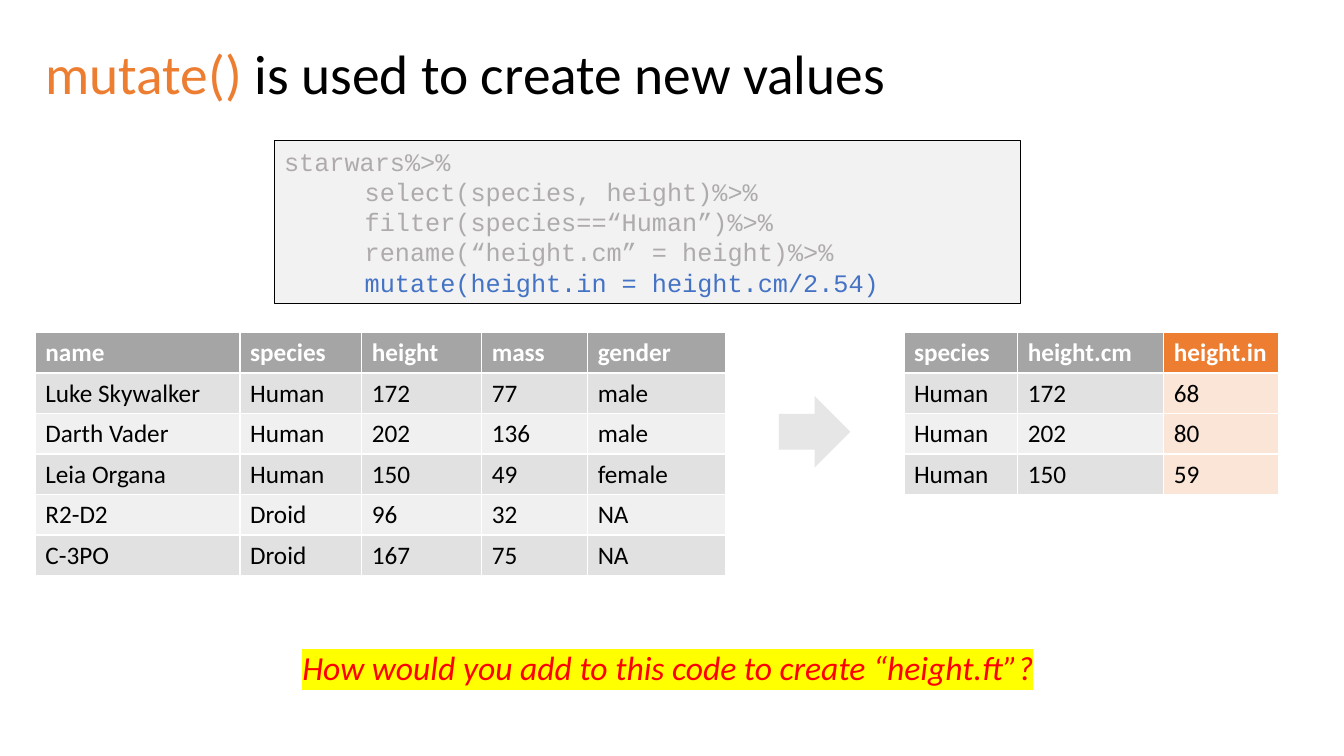
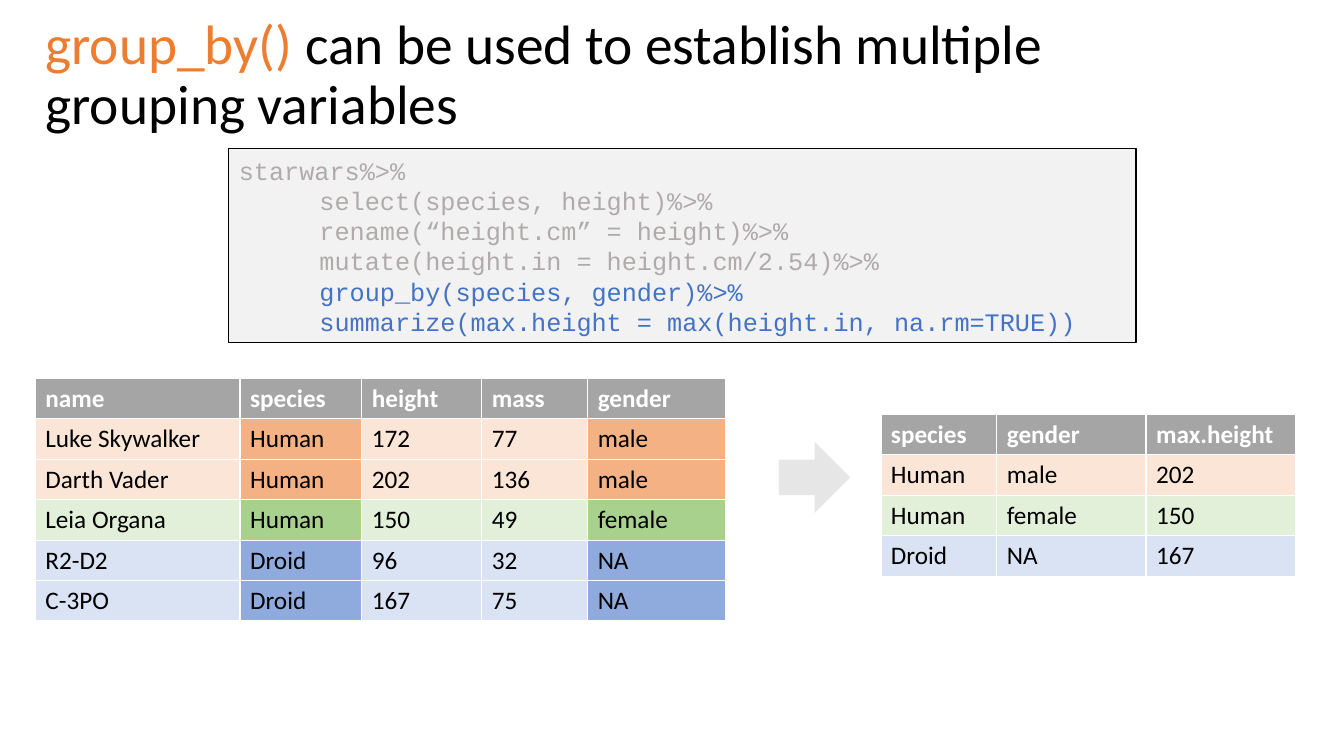
from dataclasses import dataclass

from lxml import etree
from pptx import Presentation
from pptx.dml.color import RGBColor
from pptx.enum.shapes import MSO_SHAPE
from pptx.enum.text import MSO_ANCHOR, MSO_AUTO_SIZE, PP_ALIGN
from pptx.oxml.ns import qn
from pptx.util import Cm, Pt

RECT, RIGHT_ARROW = MSO_SHAPE.RECTANGLE, MSO_SHAPE.RIGHT_ARROW
LEFT, MIDDLE = PP_ALIGN.LEFT, MSO_ANCHOR.MIDDLE
FIXED, GROW = MSO_AUTO_SIZE.NONE, MSO_AUTO_SIZE.SHAPE_TO_FIT_TEXT
TITLE_ONLY = 5


@dataclass(frozen=True)
class Theme:
    text_font: str = "Calibri"
    code_font: str = "Courier New"
    title_size: float = 39.6
    question_size: float = 24
    body_size: float = 18
    black: str = "000000"
    white: str = "FFFFFF"
    accent: str = "ED7D31"
    code_fill: str = "F2F2F2"
    code_faded: str = "AFABAB"
    code_active: str = "4472C4"
    arrow: str = "E7E6E6"
    header: str = "A5A5A5"
    bands: tuple = ("E1E1E1", "F0F0F0")
    question: str = "FF0000"
    marker: str = "FFFF00"
    # light and strong tint of each group
    orange: tuple = ("FBE5D6", "F4B183")
    green: tuple = ("E2F0D9", "A9D18E")
    blue: tuple = ("DAE3F3", "8FAADC")


THEME = Theme()
MARGIN = 0.89
ROW_HEIGHT = 1.02
HEADER = ["name", "species", "height", "mass", "gender"]
CHARACTERS = [
    ["Luke Skywalker", "Human", "172", "77", "male"],
    ["Darth Vader", "Human", "202", "136", "male"],
    ["Leia Organa", "Human", "150", "49", "female"],
    ["R2-D2", "Droid", "96", "32", "NA"],
    ["C-3PO", "Droid", "167", "75", "NA"],
]
GROUPS = {"male": THEME.orange, "female": THEME.green, "NA": THEME.blue}
GROUP_COLUMNS = (1, 4)


def rgb(value):
    return RGBColor.from_string(value)


def banded(row_count, col_count):
    """Alternating row fills, one list of colours a row."""
    return [[THEME.bands[i % 2]] * col_count for i in range(row_count)]


class Deck:
    def __init__(self, theme):
        self.theme = theme
        self.prs = Presentation()
        self.prs.slide_width, self.prs.slide_height = Cm(33.87), Cm(19.05)
        self.slide = None

    def style(self, r, size, color, font=None, bold=False, italic=False):
        r.font.name = font or self.theme.text_font
        r.font.size = Pt(size)
        r.font.color.rgb = rgb(color)
        r.font.bold, r.font.italic = bold, italic

    def new_slide(self, function, rest):
        """Start a slide whose title opens with a coloured function name."""
        t = self.theme
        self.slide = self.prs.slides.add_slide(self.prs.slide_layouts[TITLE_ONLY])
        sp = self.slide.shapes.title
        sp.left, sp.top, sp.width, sp.height = Cm(MARGIN), Cm(1.02), Cm(29), Cm(1.8)
        tf = sp.text_frame
        tf.auto_size, tf.vertical_anchor, tf.word_wrap = FIXED, MIDDLE, True
        p = tf.paragraphs[0]
        p.alignment, p.line_spacing = LEFT, 0.9
        for text, color in ((function + " ", t.accent), (rest, t.black)):
            r = p.add_run()
            r.text = text
            self.style(r, t.title_size, color)

    def shape(self, kind, left, top, width, height, fill):
        sp = self.slide.shapes.add_shape(kind, Cm(left), Cm(top), Cm(width), Cm(height))
        sp.shadow.inherit = False
        sp.fill.solid()
        sp.fill.fore_color.rgb = rgb(fill)
        sp.line.fill.background()
        return sp

    def code(self, left, top, width, height, faded, active):
        """Pipeline from starwars: faded steps, then the highlighted ones."""
        t = self.theme
        sp = self.shape(RECT, left, top, width, height, t.code_fill)
        sp.line.color.rgb = rgb(t.black)
        sp.line.width = Pt(0.75)
        tf = sp.text_frame
        tf.word_wrap, tf.auto_size = True, GROW
        steps = ["\t  " + step for step in faded + active]
        tf.text = "%>%\n".join(["starwars"] + steps)
        for i, p in enumerate(tf.paragraphs):
            p.alignment = LEFT
            color = t.code_faded if i <= len(faded) else t.code_active
            self.style(p.runs[0], t.body_size, color, t.code_font)

    def arrow(self, top):
        self.shape(RIGHT_ARROW, 19.63, top, 1.8, 1.8, self.theme.arrow)

    def table(self, left, top, widths, header, rows, fills, header_fills=None):
        t = self.theme
        texts = [header] + rows
        fills = [header_fills or [t.header] * len(header)] + fills
        table = self.slide.shapes.add_table(
            len(texts), len(widths), Cm(left), Cm(top),
            Cm(sum(widths)), Cm(ROW_HEIGHT * len(texts))).table
        for column, width in zip(table.columns, widths):
            column.width = Cm(width)
        for i, row in enumerate(table.rows):
            row.height = Cm(ROW_HEIGHT)
            for cell, text, fill in zip(row.cells, texts[i], fills[i]):
                cell.text = text
                cell.fill.solid()
                cell.fill.fore_color.rgb = rgb(fill)
                self.style(cell.text_frame.paragraphs[0].runs[0], t.body_size,
                           t.black if i else t.white, bold=i == 0)

    def characters(self, top, fills):
        """Input table with the arrow that leads to the result."""
        self.table(MARGIN, top, [5.16, 3.07, 3.02, 2.67, 3.48],
                   HEADER, CHARACTERS, fills)
        self.arrow(top + 1.6)

    def question(self, left, top, width, height, text):
        t = self.theme
        sp = self.slide.shapes.add_textbox(Cm(left), Cm(top), Cm(width), Cm(height))
        tf = sp.text_frame
        tf.word_wrap, tf.auto_size = False, GROW
        tf.text = text
        r = tf.paragraphs[0].runs[0]
        self.style(r, t.question_size, t.question, italic=True)
        highlight = etree.Element(qn("a:highlight"))
        etree.SubElement(highlight, qn("a:srgbClr"), val=t.marker)
        r.font._element.find(qn("a:solidFill")).addnext(highlight)


def mutate_slide(deck):
    deck.new_slide("mutate()", "is used to create new values")
    deck.code(6.91, 3.53, 18.8, 4.11,
              ["select(species, height)", "filter(species==“Human”)",
               "rename(“height.cm” = height)"],
              ["mutate(height.in = height.cm/2.54)"])
    top = 8.38
    deck.characters(top, banded(len(CHARACTERS), len(HEADER)))
    light = THEME.orange[0]
    deck.table(22.78, top, [2.87, 3.68, 2.9],
               ["species", "height.cm", "height.in"],
               [["Human", "172", "68"], ["Human", "202", "80"], ["Human", "150", "59"]],
               [fills + [light] for fills in banded(3, 2)],
               [THEME.header, THEME.header, THEME.accent])
    deck.question(7.37, 16.18, 19.15, 1.27,
                  "How would you add to this code to create “height.ft”?")


def group_by_slide(deck):
    deck.new_slide("group_by()", "can be used to establish multiple grouping variables")
    deck.code(5.77, 3.75, 22.86, 4.88,
              ["select(species, height)", "rename(“height.cm” = height)",
               "mutate(height.in = height.cm/2.54)"],
              ["group_by(species, gender)",
               "summarize(max.height = max(height.in, na.rm=TRUE))"])
    deck.characters(9.53, [[GROUPS[row[-1]][col in GROUP_COLUMNS]
                            for col in range(len(row))] for row in CHARACTERS])
    summary = [["Human", "male", "202"], ["Human", "female", "150"],
               ["Droid", "NA", "167"]]
    deck.table(22.2, 10.44, [2.92, 3.76, 3.76],
               ["species", "gender", "max.height"], summary,
               [[GROUPS[row[1]][0]] * len(row) for row in summary])


def main():
    deck = Deck(THEME)
    mutate_slide(deck)
    group_by_slide(deck)
    deck.prs.save("out.pptx")


if __name__ == "__main__":
    main()
